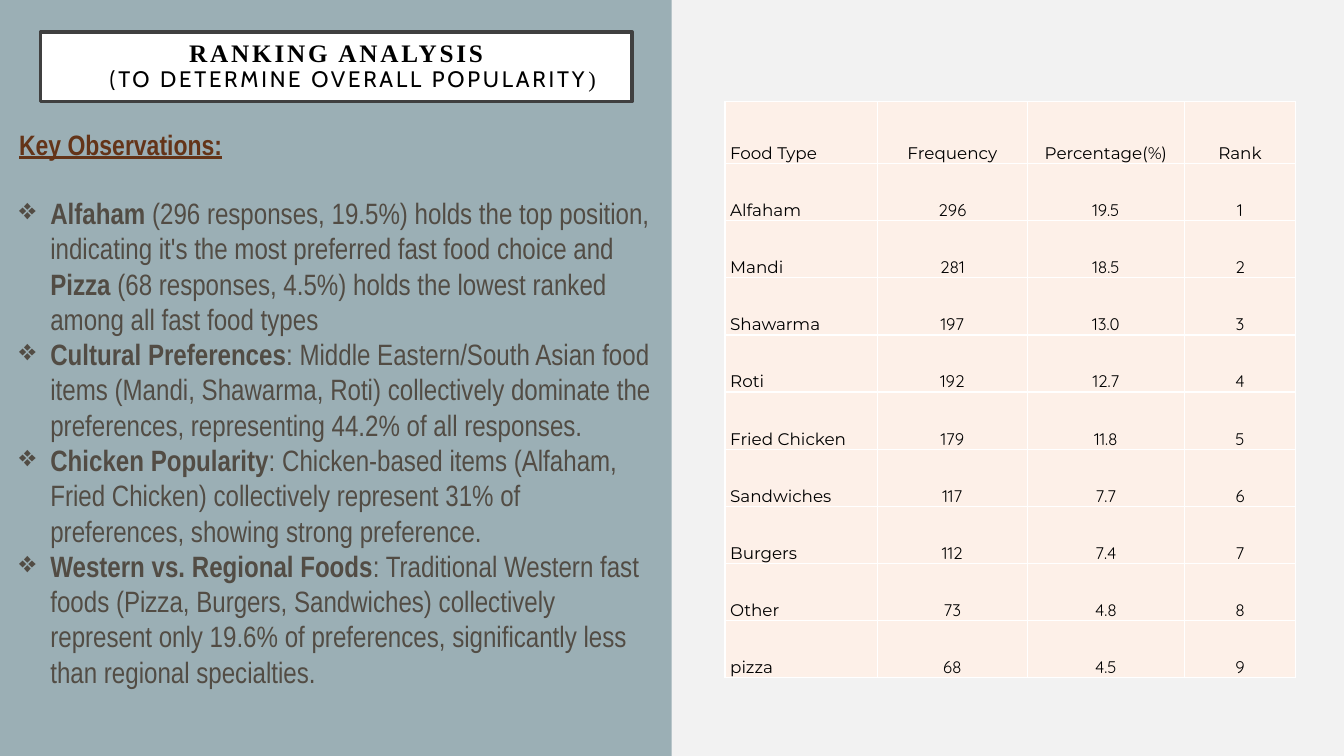
from lxml import etree
from pptx import Presentation
from pptx import util as u
from pptx.dml.color import RGBColor
from pptx.enum import shapes, text
from pptx.oxml.ns import qn

HEADING = "Key Observations:"
OBSERVATIONS = [
    [("Alfaham", True),
     (" (296 responses, 19.5%) holds the top position, indicating it's the most "
      "preferred fast food choice and ", False),
     ("Pizza", True),
     (" (68 responses, 4.5%) holds the lowest ranked among all fast food types", False)],
    [("Cultural Preferences", True),
     (": Middle Eastern/South Asian food items (Mandi, Shawarma, Roti) collectively "
      "dominate the preferences, representing 44.2% of all responses.", False)],
    [("Chicken Popularity", True),
     (": Chicken-based items (Alfaham, Fried Chicken) collectively represent 31% of "
      "preferences, showing strong preference.", False)],
    [("Western vs. Regional Foods", True),
     (": Traditional Western fast foods (Pizza, Burgers, Sandwiches) collectively "
      "represent only 19.6% of preferences, significantly less than regional "
      "specialties.", False)],
]
TITLE_LINES = [
    [("RANKING ANALYSIS", "Times New Roman", 18, True)],
    [("(TO DETERMINE OVERALL POPULARITY", "Cabin", 16, False),
     (")", "Times New Roman", 16, False)],
]
RANKING = [
    ("Food Type", "Frequency", "Percentage(%)", "Rank"),
    ("Alfaham", "296", "19.5", "1"),
    ("Mandi", "281", "18.5", "2"),
    ("Shawarma", "197", "13.0", "3"),
    ("Roti", "192", "12.7", "4"),
    ("Fried Chicken", "179", "11.8", "5"),
    ("Sandwiches", "117", "7.7", "6"),
    ("Burgers", "112", "7.4", "7"),
    ("Other", "73", "4.8", "8"),
    ("pizza", "68", "4.5", "9"),
]
COLUMN_WIDTHS = [3.84, 3.78, 3.96, 2.8]
HEADER_HEIGHT, ROW_HEIGHT = 1.56, 1.44

PAGE = RGBColor(0xF2, 0xF2, 0xF2)
PANEL = RGBColor(0x9B, 0xAF, 0xB5)
RUST = RGBColor(0x64, 0x34, 0x18)
BROWN = RGBColor(0x52, 0x4C, 0x44)
PEACH = RGBColor(0xFD, 0xF0, 0xE8)
CHARCOAL = RGBColor(0x40, 0x40, 0x40)
WHITE = RGBColor(0xFF, 0xFF, 0xFF)
BLACK = RGBColor(0, 0, 0)


def add_run(paragraph, content, font_name, size, color, bold=False):
    run = paragraph.add_run()
    run.text = content
    run.font.name = font_name
    run.font.size = u.Pt(size)
    run.font.color.rgb = color
    run.font.bold = bold
    return run


def add_box(slide, left, top, width, height, fill):
    shape = slide.shapes.add_shape(shapes.MSO_SHAPE.RECTANGLE, u.Cm(left), u.Cm(top),
                                   u.Cm(width), u.Cm(height))
    shape.shadow.inherit = False
    shape.fill.solid()
    shape.fill.fore_color.rgb = fill
    shape.line.fill.background()
    return shape


def set_bullet(paragraph, indent):
    properties = paragraph._p.get_or_add_pPr()
    properties.set("marL", str(u.Cm(indent)))
    properties.set("indent", str(-u.Cm(indent)))
    etree.SubElement(properties, qn("a:buChar")).set("char", "❖")


def add_observations(slide):
    box = slide.shapes.add_textbox(u.Cm(0.23), u.Cm(3.1), u.Cm(16.54), u.Cm(14.53))
    frame = box.text_frame
    frame.word_wrap = True
    heading = frame.paragraphs[0]
    heading.space_after = u.Pt(24)
    add_run(heading, HEADING, "Arial Narrow", 20, RUST, True).font.underline = True
    for observation in OBSERVATIONS:
        paragraph = frame.add_paragraph()
        set_bullet(paragraph, 0.79)
        for content, bold in observation:
            add_run(paragraph, content, "Arial Narrow", 21, BROWN, bold)


def set_borders(cell):
    properties = cell._tc.get_or_add_tcPr()
    for side in ("lnL", "lnR", "lnT", "lnB"):
        line = etree.SubElement(properties, qn("a:" + side), w=str(u.Pt(1)))
        fill = etree.SubElement(line, qn("a:solidFill"))
        etree.SubElement(fill, qn("a:srgbClr"), val=str(WHITE))


def add_ranking(slide):
    height = HEADER_HEIGHT + ROW_HEIGHT * (len(RANKING) - 1)
    table = slide.shapes.add_table(len(RANKING), len(COLUMN_WIDTHS), u.Cm(18.27), u.Cm(2.56),
                                   u.Cm(sum(COLUMN_WIDTHS)), u.Cm(height)).table
    table.first_row = False
    table.horz_banding = False
    for column, width in zip(table.columns, COLUMN_WIDTHS):
        column.width = u.Cm(width)
    for r, values in enumerate(RANKING):
        table.rows[r].height = u.Cm(ROW_HEIGHT if r else HEADER_HEIGHT)
        for c, value in enumerate(values):
            cell = table.cell(r, c)
            set_borders(cell)
            cell.fill.solid()
            cell.fill.fore_color.rgb = PEACH
            cell.vertical_anchor = text.MSO_ANCHOR.BOTTOM
            cell.margin_left = u.Cm(0.02 if c else 0.13)
            cell.margin_right = cell.margin_top = u.Cm(0.02)
            cell.margin_bottom = 0
            paragraph = cell.text_frame.paragraphs[0]
            paragraph.alignment = text.PP_ALIGN.CENTER if c else text.PP_ALIGN.LEFT
            add_run(paragraph, value, "Quicksand" if r and c else "Montserrat", 12, BLACK)


def add_title(slide):
    title = add_box(slide, 1.02, 0.81, 14.91, 1.75, WHITE)
    title.line.color.rgb = CHARCOAL
    title.line.width = u.Pt(2.5)
    frame = title.text_frame
    frame.word_wrap = True
    frame.vertical_anchor = text.MSO_ANCHOR.MIDDLE
    frame.margin_left = frame.margin_right = u.Cm(0.5)
    frame.margin_top = frame.margin_bottom = u.Cm(0.5)
    for i, line in enumerate(TITLE_LINES):
        paragraph = frame.add_paragraph() if i else frame.paragraphs[0]
        paragraph.alignment = text.PP_ALIGN.CENTER
        paragraph.line_spacing = 0.9
        if i:
            paragraph._p.get_or_add_pPr().set("marL", str(u.Cm(0.83)))
        for content, font_name, size, bold in line:
            run = add_run(paragraph, content, font_name, size, BLACK, bold)
            run._r.get_or_add_rPr().set("spc", "200")


def main():
    presentation = Presentation()
    presentation.slide_width = u.Cm(33.87)
    presentation.slide_height = u.Cm(19.05)
    slide = presentation.slides.add_slide(presentation.slide_layouts[6])
    slide.background.fill.solid()
    slide.background.fill.fore_color.rgb = PAGE
    add_box(slide, 0, 0, 16.93, 19.05, PANEL)
    add_observations(slide)
    add_ranking(slide)
    add_title(slide)
    presentation.save("out.pptx")


if __name__ == "__main__":
    main()
